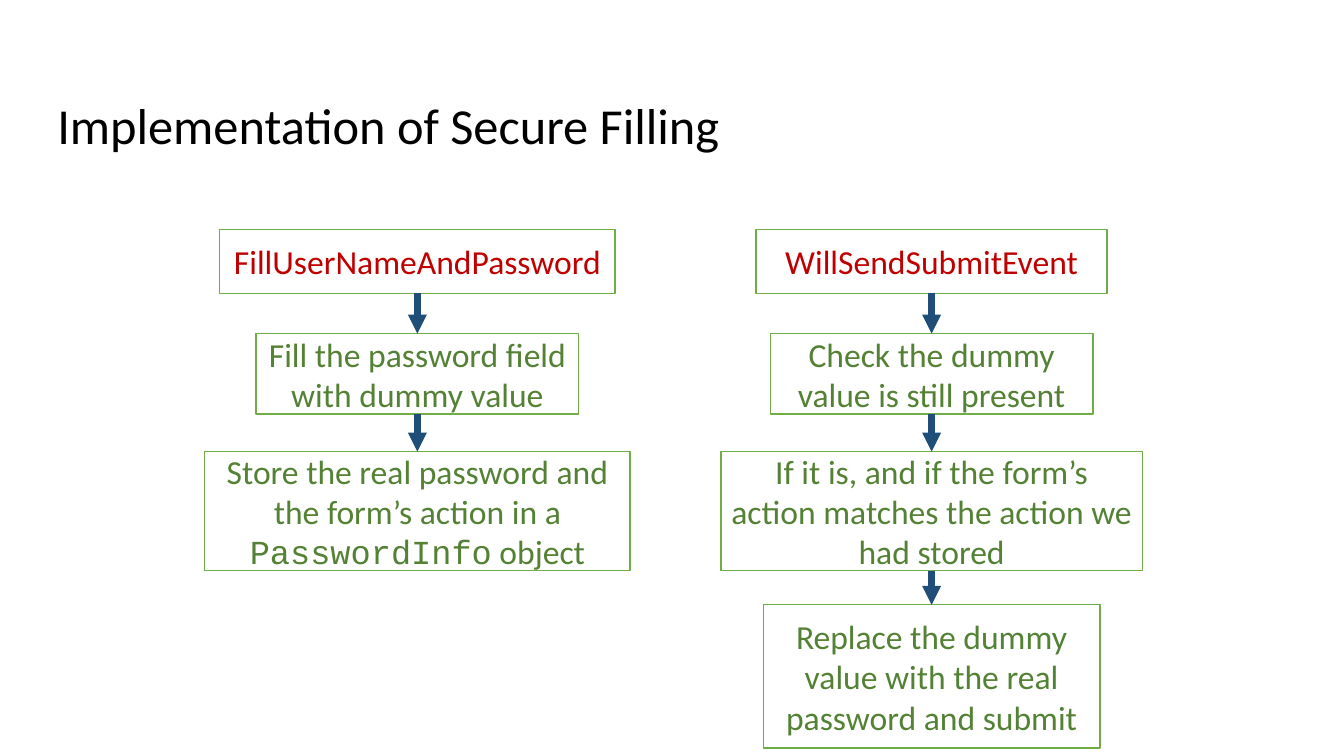
from lxml import etree
from pptx import Presentation
from pptx.dml.color import RGBColor
from pptx.enum.shapes import MSO_CONNECTOR, MSO_SHAPE
from pptx.enum.text import MSO_ANCHOR, PP_ALIGN
from pptx.oxml.ns import qn
from pptx.util import Inches, Pt

BLACK = RGBColor(0x00, 0x00, 0x00)
WHITE = RGBColor(0xFF, 0xFF, 0xFF)
RED = RGBColor(0xC0, 0x00, 0x00)
DARK_GREEN = RGBColor(0x54, 0x82, 0x35)
GREEN = RGBColor(0x70, 0xAD, 0x47)
NAVY = RGBColor(0x1F, 0x4E, 0x79)

ROWS = [(2.28, 0.63), (3.31, 0.8), (4.48, 1.18), (6, 1.42)]
FLOWS = [
    (4.14, [
        (3.92, [["FillUserNameAndPassword"]]),
        (3.2, [["Fill the password field"], ["with dummy value"]]),
        (4.22, [["Store the real password and the form’s action in a ",
                 "PasswordInfo", " object"]]),
    ]),
    (9.24, [
        (3.48, [["WillSendSubmitEvent"]]),
        (3.2, [["Check the dummy value is still present"]]),
        (4.18, [["If it is, and if the form’s action matches the action we had stored"]]),
        (3.34, [["Replace the dummy value with the real password and submit"]]),
    ]),
]


def add_step(center, top, width, height, lines, color):
    shape = slide.shapes.add_shape(
        MSO_SHAPE.RECTANGLE, Inches(center - width / 2), Inches(top),
        Inches(width), Inches(height))
    shape.shadow.inherit = False
    shape.fill.solid()
    shape.fill.fore_color.rgb = WHITE
    shape.line.color.rgb = GREEN
    shape.line.width = Pt(1)
    frame = shape.text_frame
    frame.word_wrap = True
    frame.vertical_anchor = MSO_ANCHOR.MIDDLE
    for index, runs in enumerate(lines):
        paragraph = frame.add_paragraph() if index else frame.paragraphs[0]
        paragraph.alignment = PP_ALIGN.CENTER
        paragraph.font.size = Pt(24)
        paragraph.font.color.rgb = color
        for text in runs:
            run = paragraph.add_run()
            run.text = text
            run.font.size = Pt(24)
            run.font.color.rgb = color
            run.font.name = "Courier New" if text == "PasswordInfo" else "Calibri"


def add_arrow(center, top, bottom):
    arrow = slide.shapes.add_connector(
        MSO_CONNECTOR.STRAIGHT, Inches(center), Inches(top),
        Inches(center), Inches(bottom))
    arrow.line.color.rgb = NAVY
    arrow.line.width = Pt(4.5)
    etree.SubElement(arrow.line._get_or_add_ln(), qn("a:tailEnd"), type="triangle")
    etree.SubElement(arrow._element.spPr, qn("a:effectLst"))


presentation = Presentation()
presentation.slide_width = Inches(13.33)
presentation.slide_height = Inches(7.5)
slide = presentation.slides.add_slide(presentation.slide_layouts[6])

title = slide.shapes.add_textbox(Inches(0.47), Inches(0.9), Inches(7.34), Inches(0.75))
title.text_frame.word_wrap = True
title.text_frame.vertical_anchor = MSO_ANCHOR.MIDDLE
paragraph = title.text_frame.paragraphs[0]
paragraph.text = "Implementation of Secure Filling"
paragraph.line_spacing = 0.9
paragraph.font.size = Pt(36)
paragraph.font.name = "Calibri"
paragraph.font.color.rgb = BLACK

for center, steps in FLOWS:
    previous_bottom = None
    for (top, height), (width, lines) in zip(ROWS, steps):
        color = DARK_GREEN if previous_bottom else RED
        add_step(center, top, width, height, lines, color)
        if previous_bottom:
            add_arrow(center, previous_bottom, top)
        previous_bottom = top + height

presentation.save("out.pptx")
